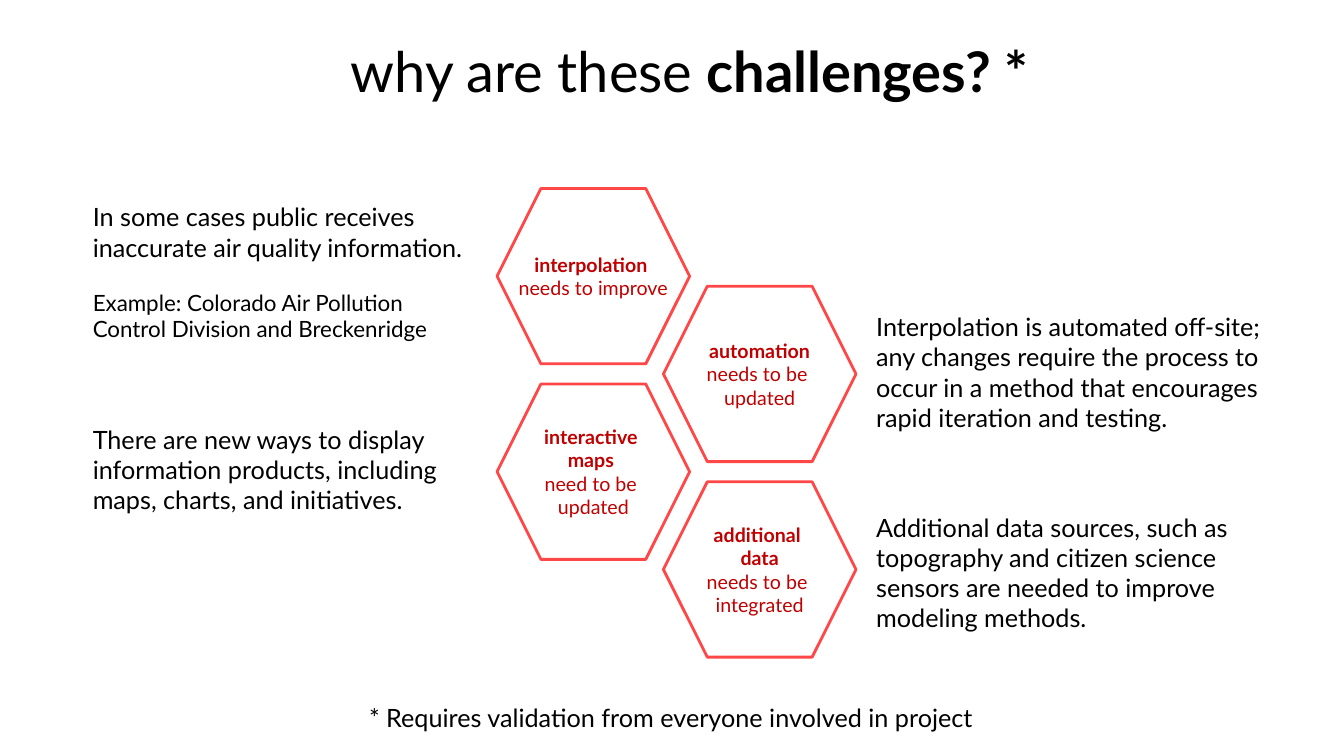
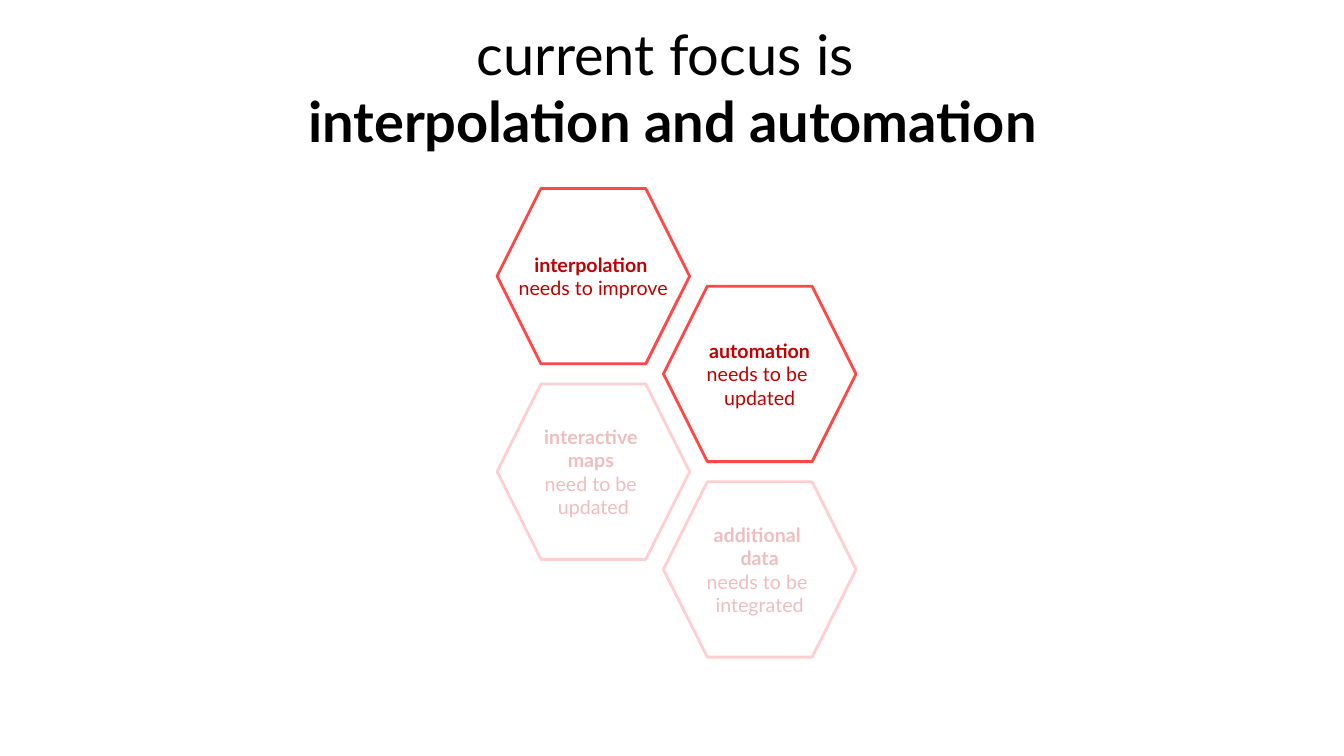
"""Build two slides on air quality challenges and the current focus."""
from lxml import etree
from pptx import Presentation
from pptx import util as u
from pptx.dml.color import RGBColor
from pptx.enum import shapes, text

FONT = "Lato"
BLACK, WHITE, RED, DARK_RED = "000000", "FFFFFF", "FF4747", "C00000"
FADED = 25
CENTER, LEFT = text.PP_ALIGN.CENTER, text.PP_ALIGN.LEFT

HEX_LEFTS = (4.93, 6.58)
HEX_TOP, HEX_PITCH = 1.87, 0.97
HEX_WIDTH, HEX_HEIGHT = 1.91, 1.74

CHALLENGES = [
    (["interpolation "], ["needs to improve"]),
    (["automation"], ["needs to be ", "updated"]),
    (["interactive ", "maps "], ["need to be ", "updated"]),
    (["additional ", "data"], ["needs to be ", "integrated"]),
]

NOTES = [
    ((0.92, 2, 3.81, 1.47), LEFT, [
        ("In some cases public receives inaccurate air quality information.", 18),
        ("Example: Colorado Air Pollution Control Division and Breckenridge", 16)]),
    ((8.69, 3.09, 4.07, 1.31), LEFT, [
        ("Interpolation is automated off-site; any changes require the process to "
         "occur in a method that encourages rapid iteration and testing.", 18)]),
    ((0.92, 4.21, 3.81, 0.94), LEFT, [
        ("There are new ways to display information products, including maps, "
         "charts, and initiatives.", 18)]),
    ((8.69, 5.08, 3.81, 0.94), LEFT, [
        ("Additional data sources, such as topography and citizen science sensors "
         "are needed to improve modeling methods.", 18)]),
    ((3.66, 6.97, 6.35, 0.34), LEFT, [
        ("* Requires validation from everyone involved in project", 18)]),
]

SLIDES = [
    {"title": [[("why are these ", False), ("challenges? *", True)]],
     "title_at": (2.51, 0.36, 8.66, 0.75), "faded": (), "notes": NOTES},
    {"title": [[("current focus is ", False)], [("interpolation and automation", True)]],
     "title_at": (2.34, 0.19, 8.66, 1.42), "faded": (2, 3), "notes": []},
]


def inches(values):
    return [u.Inches(value) for value in values]


def paint(fill, color, opacity=100):
    fill.solid()
    fill.fore_color.rgb = RGBColor.from_string(color)
    if opacity < 100:
        for node in fill._xPr.iter("{*}srgbClr"):
            tag = etree.QName(etree.QName(node).namespace, "alpha")
            etree.SubElement(node, tag, val=str(opacity * 1000))


def write(frame, lines, align, color=BLACK, opacity=100):
    """Write lines, each a list of (text, size, bold) runs."""
    for index, runs in enumerate(lines):
        para = frame.add_paragraph() if index else frame.paragraphs[0]
        para.alignment = align
        for words, size, bold in runs:
            span = para.add_run()
            span.text = words
            span.font.name = FONT
            span.font.size = u.Pt(size)
            span.font.bold = bold
            paint(span.font.fill, color, opacity)


def clear_frame(frame):
    frame.margin_left = frame.margin_top = frame.margin_right = frame.margin_bottom = 0
    frame.vertical_anchor = text.MSO_ANCHOR.TOP
    frame.auto_size = text.MSO_AUTO_SIZE.NONE
    frame.word_wrap = True


def add_title(page, lines, place):
    title = page.shapes.title
    title.left, title.top, title.width, title.height = inches(place)
    clear_frame(title.text_frame)
    write(title.text_frame, [[(words, 40, bold) for words, bold in line] for line in lines], CENTER)


def add_challenge(page, index, opacity):
    place = (HEX_LEFTS[index % 2], HEX_TOP + index * HEX_PITCH, HEX_WIDTH, HEX_HEIGHT)
    hexagon = page.shapes.add_shape(shapes.MSO_SHAPE.HEXAGON, *inches(place))
    hexagon.shadow.inherit = False
    paint(hexagon.fill, WHITE)
    hexagon.line.width = u.Pt(2)
    paint(hexagon.line.fill, RED, opacity)
    frame = hexagon.text_frame
    frame.word_wrap = False
    frame.vertical_anchor = text.MSO_ANCHOR.MIDDLE
    topic, need = CHALLENGES[index]
    lines = [[(words, 14, True)] for words in topic] + [[(words, 14, False)] for words in need]
    write(frame, lines, CENTER, DARK_RED, opacity)


def add_note(page, place, align, lines):
    box = page.shapes.add_textbox(*inches(place))
    clear_frame(box.text_frame)
    write(box.text_frame, [[(words, size, False)] for words, size in lines], align)
    for para in box.text_frame.paragraphs[1:]:
        para.space_before = u.Pt(19)


def main():
    deck = Presentation()
    deck.slide_width, deck.slide_height = inches((13.33, 7.5))
    for content in SLIDES:
        page = deck.slides.add_slide(deck.slide_layouts.get_by_name("Title Only"))
        add_title(page, content["title"], content["title_at"])
        for index in range(len(CHALLENGES)):
            add_challenge(page, index, FADED if index in content["faded"] else 100)
        for note in content["notes"]:
            add_note(page, *note)
    deck.save("out.pptx")


if __name__ == "__main__":
    main()
